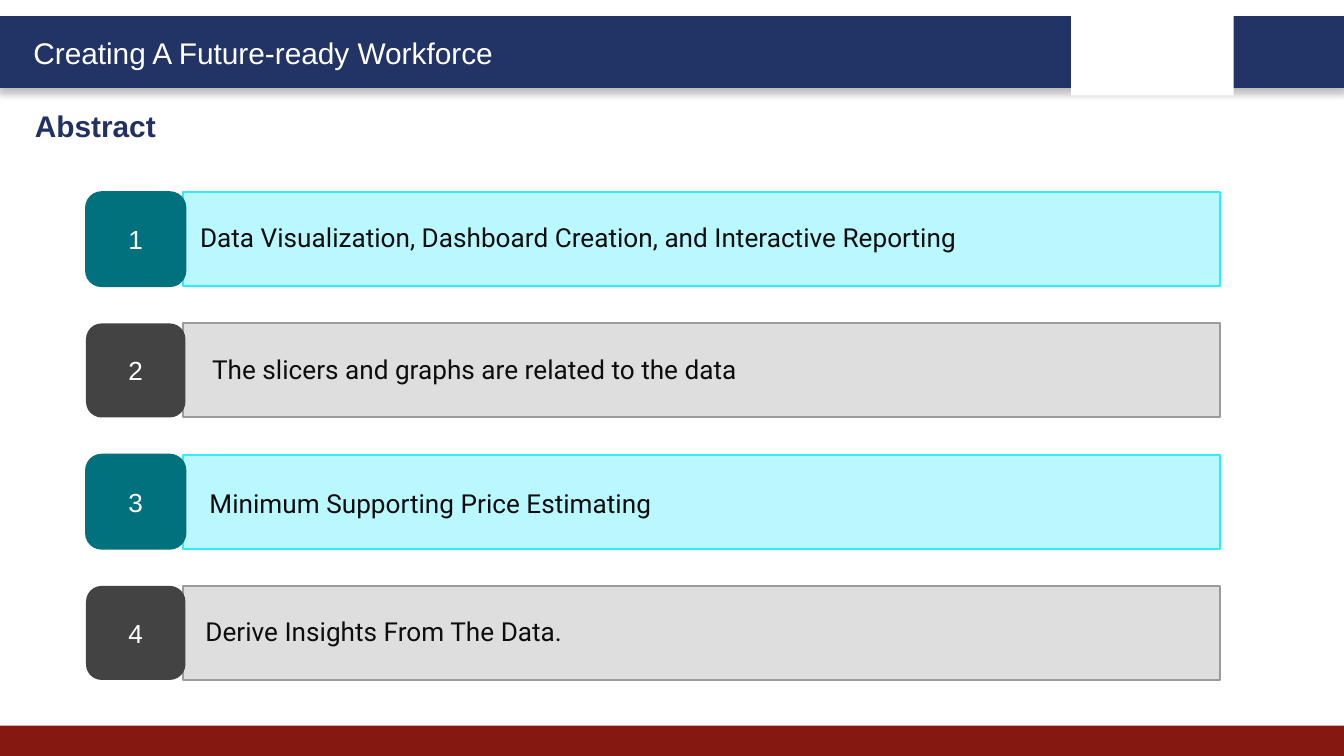
from lxml import etree
from pptx import Presentation
from pptx.dml.color import RGBColor
from pptx.enum import shapes, text
from pptx.util import Inches, Pt

NAVY = RGBColor(0x22, 0x33, 0x66)
INK = RGBColor(0x21, 0x31, 0x63)
RED = RGBColor(0x85, 0x19, 0x10)
WHITE = RGBColor(0xFF, 0xFF, 0xFF)
BLACK = RGBColor(0x0D, 0x0D, 0x0D)
AQUA = RGBColor(0xBA, 0xF8, 0xFF)
CYAN = RGBColor(0x31, 0xEB, 0xFF)
TEAL = RGBColor(0x00, 0x71, 0x7D)
PALE = RGBColor(0xDE, 0xDE, 0xDE)
GREY = RGBColor(0x9B, 0x9B, 0x9B)
DARK = RGBColor(0x43, 0x43, 0x43)

RECT = shapes.MSO_SHAPE.RECTANGLE
ROUND = shapes.MSO_SHAPE.ROUNDED_RECTANGLE
LEFT, MID = text.PP_ALIGN.LEFT, text.PP_ALIGN.CENTER
TOP, CENTER = text.MSO_ANCHOR.TOP, text.MSO_ANCHOR.MIDDLE

THEMES = [(AQUA, CYAN, TEAL, TEAL), (PALE, GREY, DARK, None)]
ITEMS = [
    ("Data Visualization, Dashboard Creation, and Interactive Reporting", 1.39, 1.6, 6.4),
    ("The slicers and graphs are related to the data", 1.48, 2.58, 5.08),
    ("Minimum Supporting Price Estimating", 1.46, 3.58, 5.08),
    ("Derive Insights From The Data.", 1.43, 4.53, 5.08),
]
FIRST, LAST, HIGH = 1.43, 4.36, 0.7
PITCH = (LAST - FIRST) / (len(ITEMS) - 1)
SHADOW = """<a:effectLst xmlns:a="http://schemas.openxmlformats.org/drawingml/2006/main">
<a:outerShdw blurRad="50800" dist="38100" dir="5400000" algn="t" rotWithShape="0">
<a:srgbClr val="000000"><a:alpha val="25000"/></a:srgbClr></a:outerShdw></a:effectLst>"""


def write(shape, words, size=14, face="Arial", color=WHITE, bold=False, align=LEFT, anchor=TOP):
    """Put one formatted paragraph in a shape."""
    frame = shape.text_frame
    frame.word_wrap = True
    frame.vertical_anchor = anchor
    para = frame.paragraphs[0]
    para.text = words
    para.alignment = align
    font = para.font
    font.size, font.name, font.bold = Pt(size), face, bold
    font.color.rgb = color


def block(slide, kind, box, fill, line=None, width=1):
    """Add a filled shape without a shadow."""
    shape = slide.shapes.add_shape(kind, *map(Inches, box))
    shape.shadow.inherit = False
    shape.fill.solid()
    shape.fill.fore_color.rgb = fill
    if line is None:
        shape.line.fill.background()
    else:
        shape.line.color.rgb = line
        shape.line.width = Pt(width)
    return shape


def label(slide, words, box, **style):
    """Add a text box."""
    write(slide.shapes.add_textbox(*map(Inches, box)), words, **style)


def shade(shape):
    """Give a shape a soft shadow below."""
    props = shape.element.spPr
    empty = props.find("{*}effectLst")
    props.replace(empty, etree.fromstring(SHADOW))


def title(slide, words, box):
    """Place and format the slide title."""
    shape = slide.shapes.title
    shape.left, shape.top, shape.width, shape.height = map(Inches, box)
    write(shape, words, size=16, color=INK, bold=True)


def frame(slide):
    """Draw the header and footer bands."""
    shade(block(slide, RECT, (0, 0.13, 10, 0.51), NAVY, NAVY, 2))
    block(slide, RECT, (0, 5.4, 10, 0.23), RED)
    block(slide, RECT, (7.97, 0.07, 1.21, 0.64), WHITE)
    label(slide, "Creating A Future-ready Workforce", (0.15, 0.21, 3.78, 0.37), size=16)


def row(slide, index, item):
    """Draw one numbered bar with its text."""
    fill, edge, badge, rim = THEMES[index % 2]
    words, left, top, width = item
    y = FIRST + index * PITCH
    block(slide, RECT, (1.36, y, 7.72, HIGH), fill, edge)
    number = block(slide, ROUND, (0.64, y, 0.74, HIGH), badge, rim)
    write(number, str(index + 1), align=MID, anchor=CENTER)
    label(slide, words, (left, top, width, 0.34), face="Roboto", color=BLACK)


def main():
    """Build and save the slide."""
    deck = Presentation()
    deck.slide_width = Inches(10)
    deck.slide_height = Inches(10 * 9 / 16)
    slide = deck.slides.add_slide(deck.slide_layouts[5])
    frame(slide)
    title(slide, "Abstract", (0.16, 0.75, 4.84, 0.37))
    for index, item in enumerate(ITEMS):
        row(slide, index, item)
    deck.save("out.pptx")


if __name__ == "__main__":
    main()
